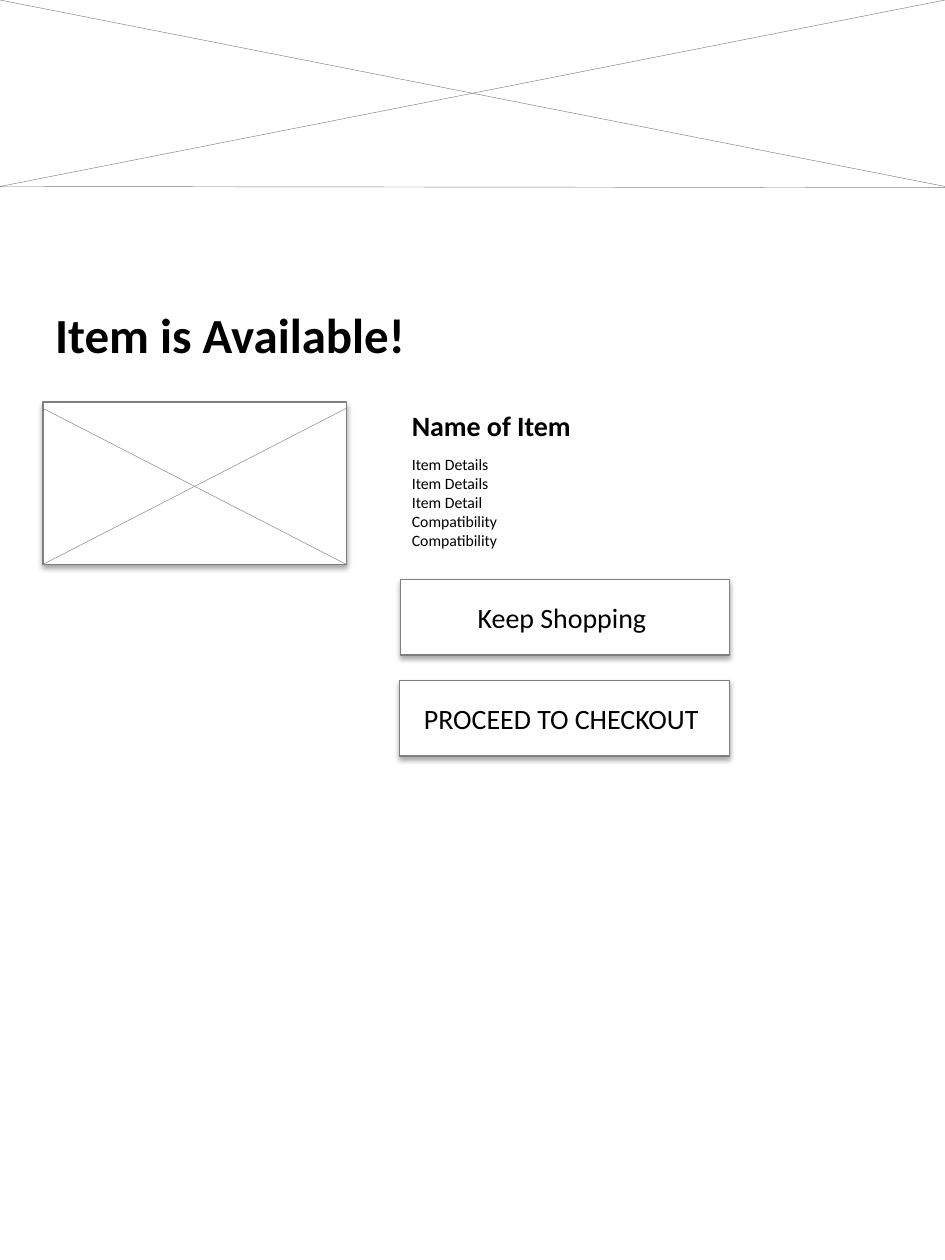
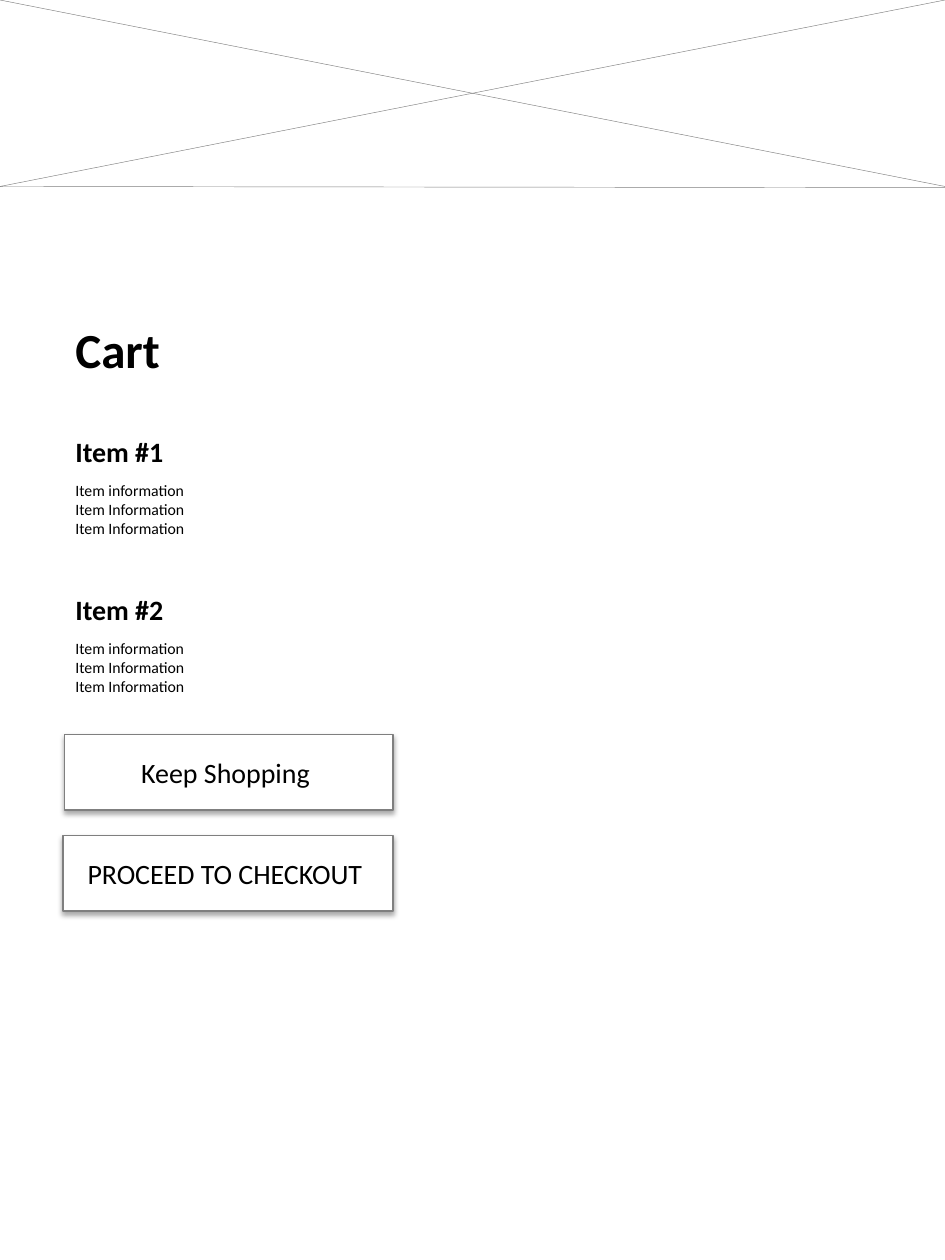
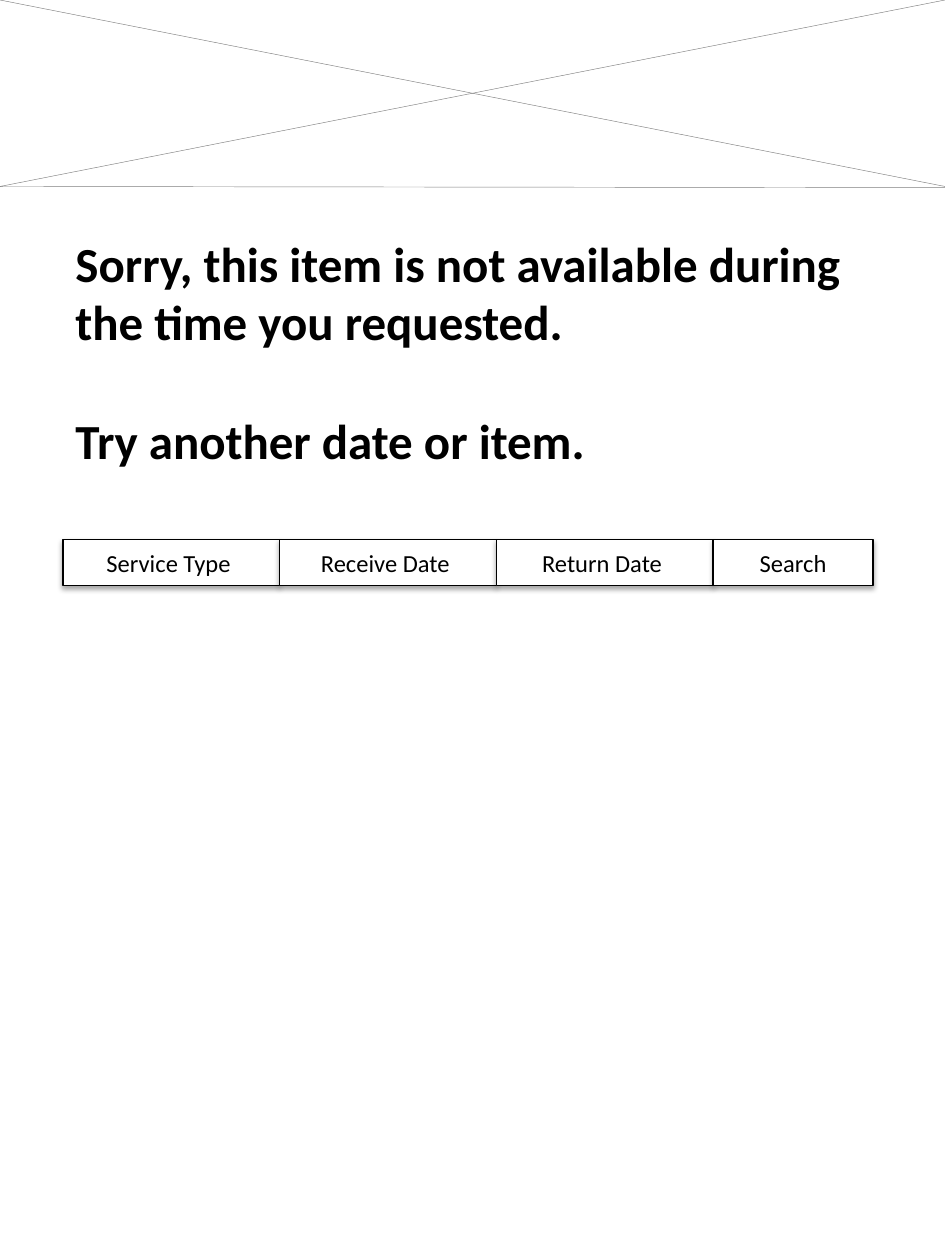
from pptx import Presentation
from pptx.dml.color import RGBColor
from pptx.enum import shapes, text
from pptx.oxml import ns, xmlchemy
from pptx.util import Inches, Pt

FONT = "Calibri"
COLORS = {"paper": "FFFFFF", "ink": "000000", "gray": "7F7F7F"}
SIZES = {"title": 28, "head": 16, "field": 14, "body": 9}
WIDTH, HEIGHT = 7.5, 10
BAND = 1.48


def color(name):
    return RGBColor.from_string(COLORS[name])


def node(parent, tag, **attrs):
    child = xmlchemy.OxmlElement(tag)
    for key, value in attrs.items():
        child.set(key, str(value))
    parent.append(child)
    return child


def write(frame, lines, size, bold=False, align=None, gap=0):
    for index, line in enumerate(lines):
        para = frame.paragraphs[0] if index == 0 else frame.add_paragraph()
        para.alignment = align
        if index and gap:
            para.space_before = Pt(gap)
        run = para.add_run()
        run.text = line
        run.font.name = FONT
        run.font.size = Pt(SIZES[size])
        run.font.bold = bold
        run.font.color.rgb = color("ink")


def label(slide, left, top, width, height, lines, size, wrap=False, gap=0):
    box = slide.shapes.add_textbox(*map(Inches, (left, top, width, height)))
    frame = box.text_frame
    frame.word_wrap = wrap
    frame.auto_size = text.MSO_AUTO_SIZE.SHAPE_TO_FIT_TEXT
    write(frame, lines, size, size != "body", gap=gap)


def line(slide, *ends):
    rule = slide.shapes.add_connector(
        shapes.MSO_CONNECTOR.STRAIGHT, *map(Inches, ends))
    rule.line.color.rgb = color("gray")
    rule.line.width = Pt(0.25)
    node(rule._element.spPr, "a:effectLst")


def cross(slide, left, top, right, base):
    line(slide, left, top, right, base)
    line(slide, right, top, left, base)


def shade(box):
    box.shadow.inherit = False
    effects = box._element.spPr.find(ns.qn("a:effectLst"))
    cast = node(effects, "a:outerShdw", blurRad=Pt(3.1), dist=Pt(1.8),
                dir=90 * 60000, rotWithShape=0)
    tint = node(cast, "a:srgbClr", val=COLORS["ink"])
    node(tint, "a:alpha", val=35000)


def panel(slide, left, top, width, height, edge="gray"):
    box = slide.shapes.add_shape(
        shapes.MSO_SHAPE.RECTANGLE, *map(Inches, (left, top, width, height)))
    box.fill.solid()
    box.fill.fore_color.rgb = color("paper")
    box.line.color.rgb = color(edge)
    box.line.width = Pt(0.75)
    shade(box)
    return box


def button(slide, left, top, width, height, words, size="head", edge="gray"):
    frame = panel(slide, left, top, width, height, edge).text_frame
    frame.word_wrap = True
    frame.vertical_anchor = text.MSO_ANCHOR.MIDDLE
    write(frame, [words], size, align=text.PP_ALIGN.CENTER)


def actions(slide, left, top):
    button(slide, left + 0.01, top, 2.61, 0.6, "Keep Shopping ")
    button(slide, left, top + 0.8, 2.62, 0.6, "PROCEED TO CHECKOUT ")


def item(slide, left, top, width, name, facts, height):
    label(slide, left, top, width, 0.37, [name], "head")
    label(slide, left, top + 0.37, 3.75, height, facts, "body", True)


def page(deck):
    slide = deck.slides.add_slide(deck.slide_layouts[6])
    cross(slide, 0, 0, WIDTH, BAND)
    line(slide, WIDTH, BAND + 0.01, 0, BAND)
    return slide


def found(deck):
    slide = page(deck)
    left, top, right, base = 0.34, 3.19, 2.75, 4.48
    panel(slide, left, top, right - left, base - top)
    cross(slide, left, top + 0.05, right, base)
    facts = ["Item Details", "Item Details", "Item Detail",
             "Compatibility", "Compatibility"]
    item(slide, 3.17, top, 1.66, "Name of Item", facts, 1.01)
    label(slide, left, 2.37, 3.44, 0.57, ["Item is Available!"], "title")
    actions(slide, 3.17, 4.6)


def cart(deck):
    slide = page(deck)
    label(slide, 0.5, 2.49, 1.02, 0.57, ["Cart"], "title")
    facts = ["Item information", "Item Information", "Item Information"]
    for index in range(2):
        item(slide, 0.5, 3.4 + 1.25 * index, 1.02,
             f"Item #{index + 1}", facts, 0.56)
    actions(slide, 0.5, 5.83)


def sorry(deck):
    slide = page(deck)
    lines = ["Sorry, this item is not available during the time you requested.",
             "Try another date or item."]
    label(slide, 0.5, 1.8, 6.65, 1.99, lines, "title", True, 34)
    left = 0.5
    fields = [("Service Type ", 1.72), ("Receive Date ", 1.72),
              ("Return Date ", 1.72), ("Search", 1.27)]
    for words, width in fields:
        button(slide, left, 4.28, width, 0.37, words, "field", "ink")
        left += width


def main():
    deck = Presentation()
    deck.slide_width, deck.slide_height = Inches(WIDTH), Inches(HEIGHT)
    found(deck)
    cart(deck)
    sorry(deck)
    deck.save("out.pptx")


if __name__ == "__main__":
    main()
